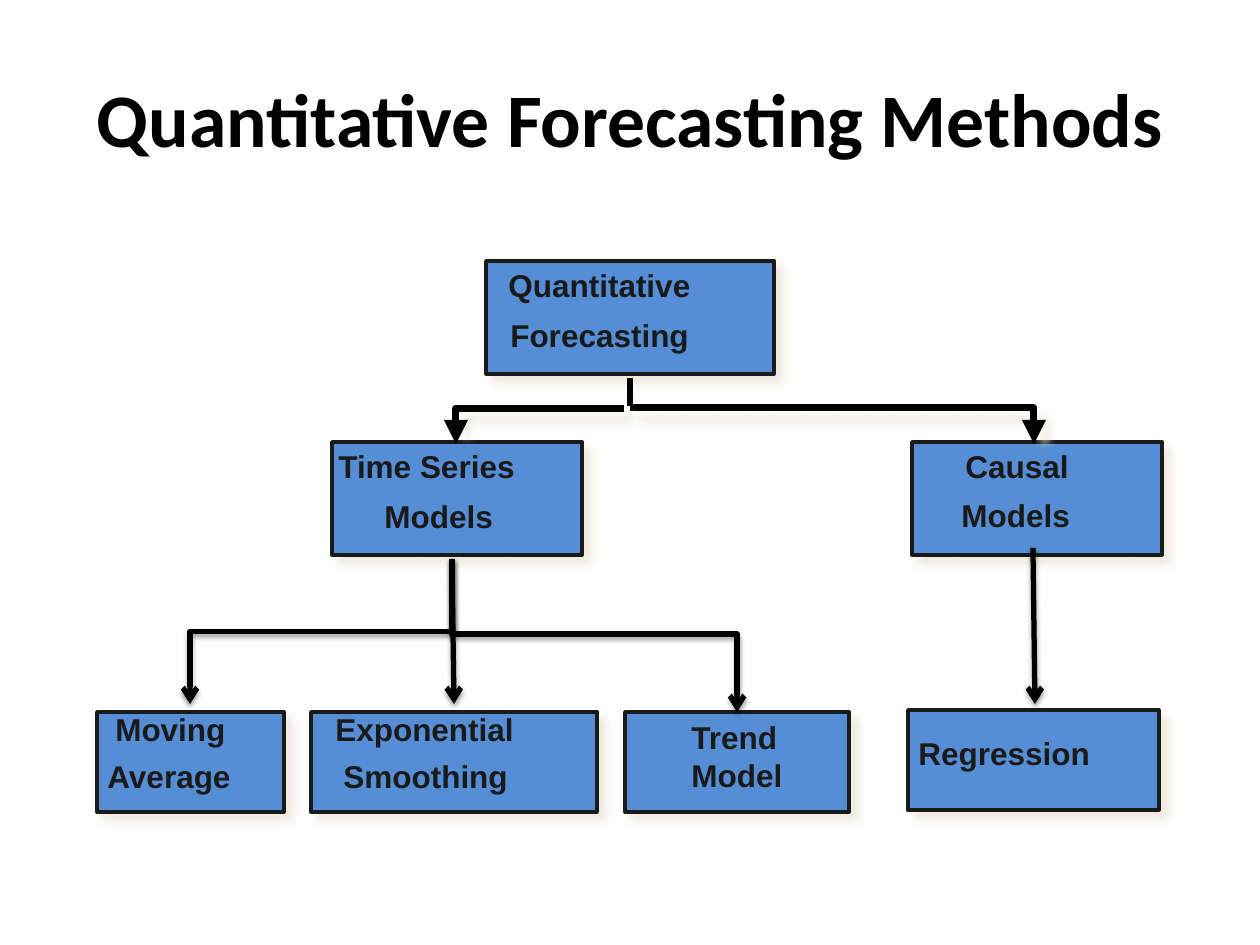
from lxml.etree import SubElement
from pptx import Presentation
from pptx.dml.color import RGBColor
from pptx.enum.shapes import MSO_CONNECTOR as CONN, MSO_SHAPE as SHAPE
from pptx.enum.text import MSO_ANCHOR as ANCHOR, PP_ALIGN as ALIGN
from pptx.oxml.ns import qn
from pptx.util import Emu, Pt

SCALE = 914400 / 126
COLORS = {"box": "558ED5", "ink": "1A1A1A", "line": "000000", "glow": "EEECE1"}
SOFT = ("glow", 100, 5, 5.7, 45)
WIDE = ("glow", 100, 5, 8.5, 45)
DARK = ("line", 38, 3.1, 1.6, 90)

NODES = [
    ((912, 442, 250, 113), [("Causal", 41, -1, 165, 64), ("Models", 37, 48, 171, 64)]),
    ((486, 261, 288, 113), [("Quantitative", 10, -1, 270, 64), ("Forecasting", 12, 49, 265, 64)]),
    ((332, 442, 250, 113), [("Time Series", -6, -1, 262, 64), ("Models", 40, 49, 171, 64)]),
    ((908, 710, 251, 100), [("Regression", -2, 18, 256, 64)]),
    ((311, 712, 286, 100), [("Exponential", 12, -8, 265, 64), ("Smoothing", 20, 39, 246, 64)]),
    ((625, 712, 224, 100), [("Trend\nModel", 54, 0, 117, 88)]),
    ((97, 712, 187, 100), [("Moving", 6, -8, 174, 64), ("Average", -2, 39, 193, 64)]),
]


def px(*values):
    return [Emu(round(v * SCALE)) for v in values]


def color(name):
    return RGBColor.from_string(COLORS[name])


def add_effects(parent, shadow=None):
    effects = SubElement(parent, qn("a:effectLst"))
    if shadow:
        name, alpha, blur, dist, angle = shadow
        outer = SubElement(effects, qn("a:outerShdw"), blurRad=str(Pt(blur)), dist=str(Pt(dist)),
                           dir=str(angle * 60000), algn="ctr", rotWithShape="0")
        rgb = SubElement(outer, qn("a:srgbClr"), val=COLORS[name])
        SubElement(rgb, qn("a:alpha"), val=str(alpha * 1000))


def set_line(sp, name, width):
    sp.line.color.rgb = color(name)
    sp.line.width = Pt(width)


def add_title(slide, box):
    title = slide.shapes.title
    title.left, title.top, title.width, title.height = px(*box)
    tf = title.text_frame
    tf.vertical_anchor = ANCHOR.MIDDLE
    p = tf.paragraphs[0]
    p.alignment = ALIGN.CENTER
    r = p.add_run()
    r.text = "Quantitative Forecasting Methods"
    r.font.size, r.font.bold = Pt(43.2), True
    r.font.color.rgb = color("line")
    add_effects(r.font._element, SOFT)
    r.font.name = "Calibri"


def add_node(slide, box, labels):
    x, y, w, h = box
    sp = slide.shapes.add_shape(SHAPE.RECTANGLE, *px(x, y, w, h))
    sp.fill.solid()
    sp.fill.fore_color.rgb = color("box")
    set_line(sp, "ink", 2)
    add_effects(sp._element.spPr, SOFT)
    for text, dx, dy, width, height in labels:
        tf = slide.shapes.add_textbox(*px(x + dx, y + dy, width, height)).text_frame
        tf.word_wrap = True
        tf.text = text
        for p in tf.paragraphs:
            p.font.name, p.font.size, p.font.bold = "Arial", Pt(18), True
            p.font.color.rgb = color("ink")


def add_path(slide, points, closed=False):
    builder = slide.shapes.build_freeform(*points[0], scale=SCALE)
    builder.add_line_segments(points[1:], close=closed)
    sp = builder.convert_to_shape()
    if closed:
        sp.fill.solid()
        sp.fill.fore_color.rgb = color("line")
        sp.line.fill.background()
    else:
        sp.fill.background()
        set_line(sp, "line", 4)
    add_effects(sp._element.spPr, None if closed else WIDE)


def add_link(slide, start, end, width=3, shadow=DARK, arrow=True, kind=CONN.STRAIGHT):
    c = slide.shapes.add_connector(kind, *px(*start, *end))
    set_line(c, "line", width)
    if arrow:
        SubElement(c.line._get_or_add_ln(), qn("a:tailEnd"), type="arrow")
    add_effects(c._element.spPr, shadow)
    return c


def add_elbow(slide, start, end, bend):
    c = add_link(slide, start, end, kind=CONN.ELBOW)
    (x1, y1), (x2, y2) = start, end
    run, drop = abs(x2 - x1), y2 - y1
    c.left, c.top, c.width, c.height = px(
        (x1 + x2 - drop) / 2, (y1 + y2 - run) / 2, drop, run)
    xfrm = c._element.spPr.find(qn("a:xfrm"))
    xfrm.attrib.clear()
    xfrm.set("rot", str((270 if x2 > x1 else 90) * 60000))
    if x2 > x1:
        xfrm.set("flipH", "1")
    guides = c._element.spPr.find(qn("a:prstGeom")).get_or_add_avLst()
    SubElement(guides, qn("a:gd"), name="adj1", fmla=f"val {round(bend * 100000)}")


def add_top_branch(slide, x, y):
    add_path(slide, [(x, y), (1034, y), (1034, y + 24)])
    add_link(slide, (x, y - 30), (x, y - 2), 4, None, False)
    add_path(slide, [(x - 6, y), (456, y), (456, y + 18)])
    for tip in (1034, 456):
        add_path(slide, [(tip + 12, y + 12), (tip, y + 36), (tip - 12, y + 12)], True)


def add_lower_branches(slide, x, y):
    add_elbow(slide, (x, y), (190, 704), 0.5)
    add_elbow(slide, (x, y), (737, 712), 0.49)
    add_link(slide, (x, y), (x + 2, 704))
    add_link(slide, (1033, 548), (1035, 704))


def main():
    prs = Presentation()
    prs.slide_width, prs.slide_height = px(1260, 945)
    slide = prs.slides.add_slide(prs.slide_layouts[5])
    add_title(slide, (63, 38, 1134, 158))
    for box, labels in NODES:
        add_node(slide, box, labels)
    add_top_branch(slide, 630, 408)
    add_lower_branches(slide, 452, 559)
    prs.save("out.pptx")


if __name__ == "__main__":
    main()
